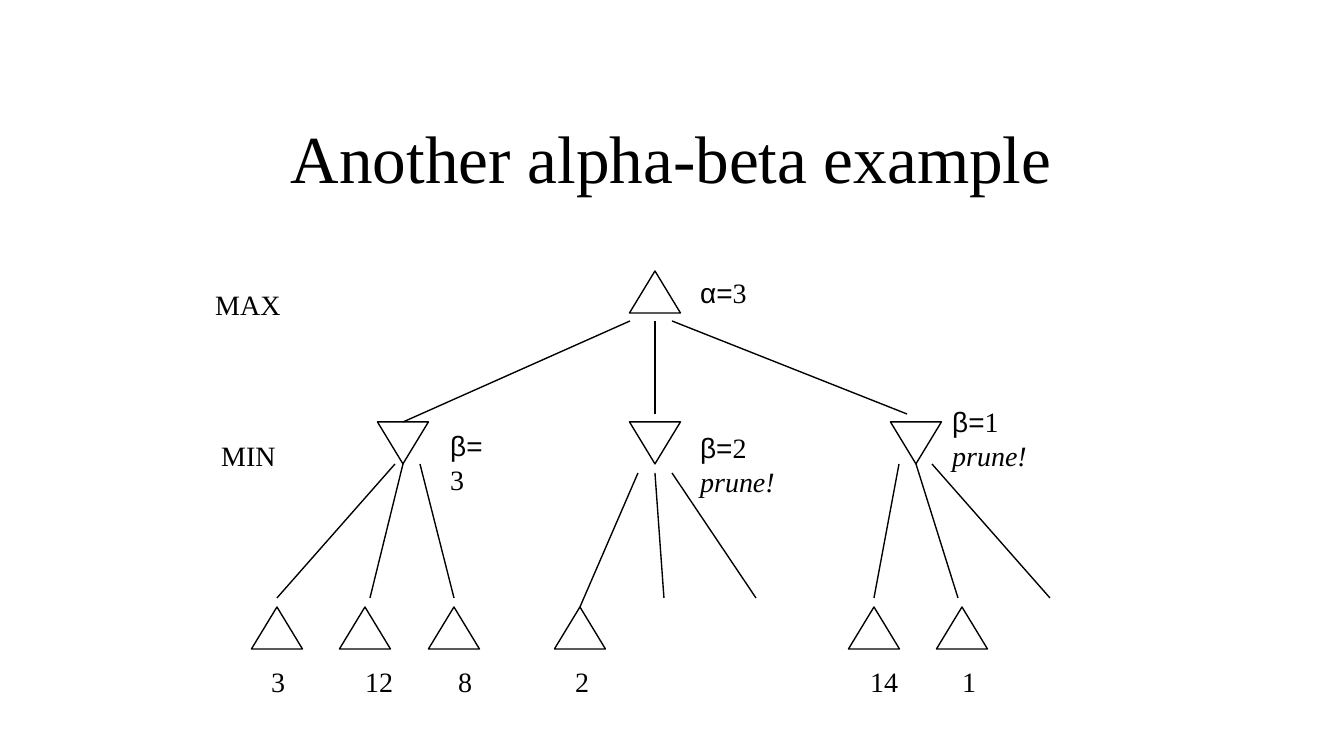
import pptx
import pptx.util
import pptx.dml.color
import pptx.enum.shapes
import pptx.enum.text
import lxml.etree
import pptx.oxml.ns

BLACK = pptx.dml.color.RGBColor(0, 0, 0)
WHITE = pptx.dml.color.RGBColor(255, 255, 255)
SERIF, SANS = "Times New Roman", "Arial"
SCALE = 914400 * 10 / 1344


def px(*lengths):
    return [pptx.util.Emu(round(length * SCALE)) for length in lengths]


def add_span(para, text, size=15, font=SERIF, italic=False, color=BLACK):
    span = para.add_run()
    span.text = text
    span.font.size = pptx.util.Pt(size)
    span.font.name = font
    span.font.italic = italic
    span.font.color.rgb = color


class TreeSlide:
    line_width = pptx.util.Pt(0.75)
    node_width, node_height = 51, 42

    def __init__(self, deck):
        self.page = deck.slides.add_slide(deck.slide_layouts[5])

    def title(self, text, left, top, width, height):
        box = self.page.shapes.title
        box.left, box.top, box.width, box.height = px(left, top, width, height)
        box.text_frame.vertical_anchor = pptx.enum.text.MSO_ANCHOR.MIDDLE
        para = box.text_frame.paragraphs[0]
        para.alignment = pptx.enum.text.PP_ALIGN.CENTER
        add_span(para, text, size=36)

    def node(self, center, top, flipped=False):
        shape = self.page.shapes.add_shape(
            pptx.enum.shapes.MSO_SHAPE.ISOSCELES_TRIANGLE,
            *px(center - self.node_width / 2, top, self.node_width, self.node_height))
        shape.shadow.inherit = False
        shape.fill.solid()
        shape.fill.fore_color.rgb = WHITE
        shape.line.color.rgb = BLACK
        shape.line.width = self.line_width
        if flipped:
            shape.element.spPr.xfrm.set("flipV", "1")

    def edge(self, start_x, start_y, end_x, end_y):
        line = self.page.shapes.add_connector(
            pptx.enum.shapes.MSO_CONNECTOR.STRAIGHT, *px(start_x, start_y, end_x, end_y))
        line.line.color.rgb = BLACK
        line.line.width = self.line_width
        lxml.etree.SubElement(line.element.spPr, pptx.oxml.ns.qn("a:effectLst"))

    def label(self, text, left, top, width, height=47, greek="", note="", wrap=False):
        box = self.page.shapes.add_textbox(*px(left, top, width, height))
        box.text_frame.word_wrap = wrap
        para = box.text_frame.paragraphs[0]
        if greek:
            add_span(para, greek, font=SANS)
        add_span(para, text)
        if note:
            para.add_line_break()
            add_span(para, note, italic=True)


deck = pptx.Presentation()
deck.slide_width, deck.slide_height = px(1344, 756)
tree = TreeSlide(deck)
tree.title("Another alpha-beta example", 243, 94, 857, 126)

tree.node(655, 271)
for center in (403, 655, 916):
    tree.node(center, 422, flipped=True)
for center in (277, 365, 454, 580, 874, 962):
    tree.node(center, 607)

for edge in (
    (630, 321, 403, 422), (655, 321, 655, 414), (672, 321, 907, 414),
    (395, 464, 277, 598), (403, 464, 370, 598), (420, 464, 454, 598),
    (638, 473, 580, 607), (655, 473, 664, 598), (672, 473, 756, 598),
    (899, 464, 874, 598), (916, 464, 958, 598), (932, 464, 1050, 598),
):
    tree.edge(*edge)

for value, left in (("3", 258), ("12", 352), ("8", 445), ("2", 562), ("14", 857), ("1", 949)):
    tree.label(value, left, 658, 28 + 14 * len(value))

tree.label("MAX", 202, 281, 93)
tree.label("MIN", 208, 432, 82)
tree.label("3", 687, 269, 75, greek="α=")
tree.label("3", 437, 422, 70, greek="β=", wrap=True)
tree.label("2", 687, 424, 102, height=82, greek="β=", note="prune!")
tree.label("1", 939, 398, 144, height=82, greek="β=", note="prune!", wrap=True)

deck.save("out.pptx")
